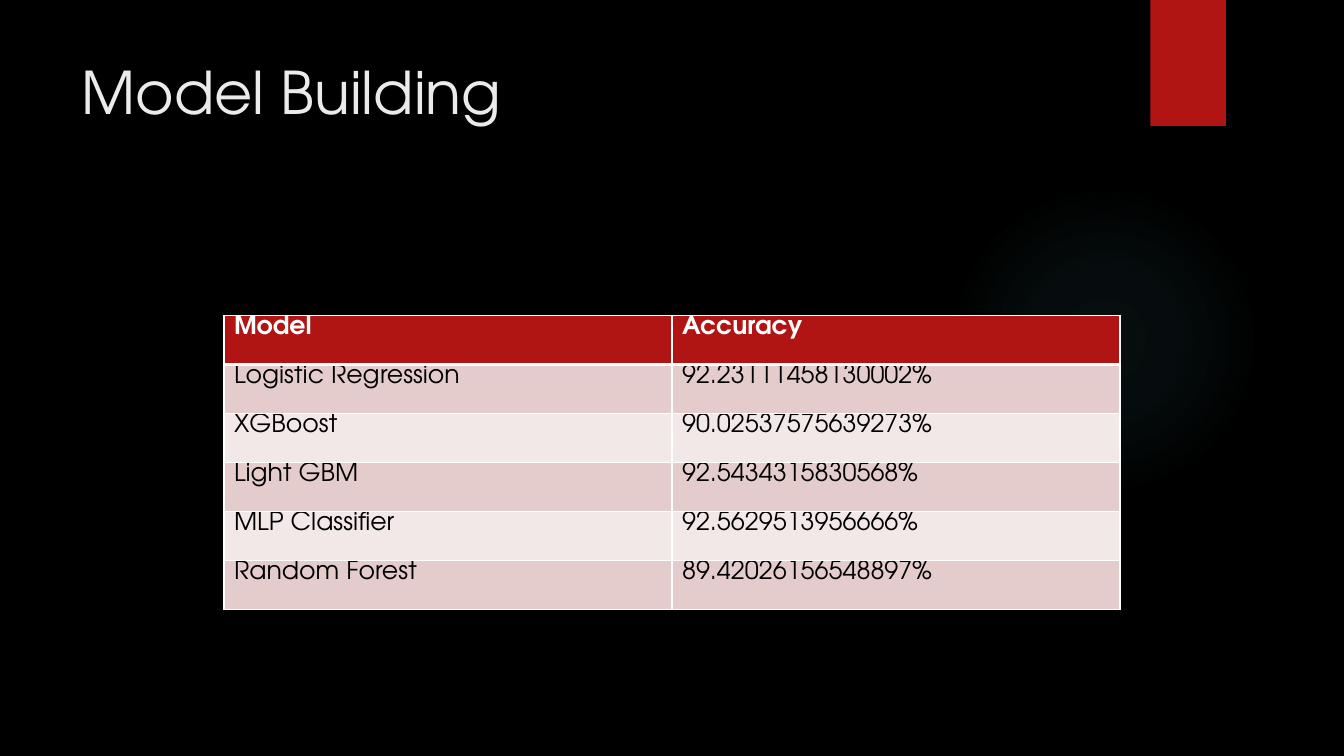
import pptx
import pptx.dml.color
import pptx.enum.shapes
import pptx.enum.text
import pptx.oxml
import pptx.oxml.ns
import pptx.util

W, H = 13.33, 7.5
FONT = "TeX Gyre Adventor"
COLORS = {
    "back": "000000", "red": "B01513", "glow": "50B9C1", "title": "EBEBEB",
    "white": "FFFFFF", "ink": "000000", "odd": "E4CCCC", "even": "F2E8E7",
}
ROWS = [
    ("Model", "Accuracy"),
    ("Logistic Regression", "92.23111458130002%"),
    ("XGBoost", "90.02537575639273%"),
    ("Light GBM", "92.5434315830568%"),
    ("MLP Classifier", "92.5629513956666%"),
    ("Random Forest", "89.42026156548897%"),
]


def rgb(name):
    """Return the named colour."""
    return pptx.dml.color.RGBColor.from_string(COLORS[name])


def inches(*values):
    """Convert lengths in inches."""
    return [pptx.util.Inches(v) for v in values]


def element(tag, body, attrs=""):
    """Parse one drawing element."""
    ns = pptx.oxml.ns.nsdecls("a")
    return pptx.oxml.parse_xml(f"<a:{tag} {ns} {attrs}>{body}</a:{tag}>")


def write(tf, text, size=18, color="ink", bold=False):
    """Put formatted text in a text frame."""
    r = tf.paragraphs[0].add_run()
    r.text = text
    r.font.name, r.font.size, r.font.bold = FONT, pptx.util.Pt(size), bold
    r.font.color.rgb = rgb(color)


def add_plain(s, kind, box, color):
    """Add a flat shape without outline."""
    sp = s.shapes.add_shape(kind, *inches(*box))
    sp.shadow.inherit = False
    sp.line.fill.background()
    sp.fill.solid()
    sp.fill.fore_color.rgb = rgb(color)
    return sp


def add_backdrop(s):
    """Draw the background, the soft glow and the red tab."""
    s.background.fill.solid()
    s.background.fill.fore_color.rgb = rgb("back")
    shapes = pptx.enum.shapes.MSO_SHAPE
    glow = add_plain(s, shapes.OVAL, (9.41, 1.83, 3.08, 3.08), "glow")
    stops = "".join(
        f'<a:gs pos="{pos * 1000}"><a:srgbClr val="{COLORS["glow"]}">'
        f'<a:alpha val="{alpha * 1000}"/></a:srgbClr></a:gs>'
        for pos, alpha in ((0, 7), (36, 6), (69, 0), (100, 0)))
    grad = element(
        "gradFill", f'<a:gsLst>{stops}</a:gsLst><a:path path="circle">'
        '<a:fillToRect l="50000" t="50000" r="50000" b="50000"/></a:path>')
    props = glow._element.spPr
    props.replace(props.find(pptx.oxml.ns.qn("a:solidFill")), grad)
    add_plain(s, shapes.RECTANGLE, (11.41, 0, 0.75, 1.25), "red")


def add_title(s, box, text):
    """Write the slide title at the top of its box."""
    tf = s.shapes.add_textbox(*inches(*box)).text_frame
    tf.word_wrap = True
    tf.vertical_anchor = pptx.enum.text.MSO_ANCHOR.TOP
    write(tf, text, size=42, color="title")


def set_borders(cell, **widths):
    """Draw white cell borders of the given point widths."""
    props = cell._tc.get_or_add_tcPr()
    for i, (side, width) in enumerate(widths.items()):
        fill = f'<a:solidFill><a:srgbClr val="{COLORS["white"]}"/></a:solidFill>'
        props.insert(i, element(f"ln{side}", fill, f'w="{width * 12700}"'))


def add_scores(s, box, rows):
    """Fill the box with the banded table of model scores."""
    x, y, w, h = inches(*box)
    table = s.shapes.add_table(len(rows), len(rows[0]), x, y, w, h).table
    for i, row in enumerate(rows):
        table.rows[i].height = h // len(rows)
        head = i == 0
        fill = "red" if head else "odd" if i % 2 else "even"
        for j, text in enumerate(row):
            cell = table.cell(i, j)
            cell.margin_top = cell.margin_bottom = 0
            cell.fill.solid()
            cell.fill.fore_color.rgb = rgb(fill)
            set_borders(cell, L=1, R=1, T=3 if i == 1 else 1, B=3 if head else 1)
            write(cell.text_frame, text, color="white" if head else "ink", bold=head)


def main():
    """Build and save the slide."""
    prs = pptx.Presentation()
    prs.slide_width, prs.slide_height = inches(W, H)
    s = prs.slides.add_slide(prs.slide_layouts[6])
    add_backdrop(s)
    add_title(s, (0.71, 0.5, 10.29, 1.53), "Model Building")
    add_scores(s, (W / 6, 3.13, W * 2 / 3, 2.92), ROWS)
    prs.save("out.pptx")


if __name__ == "__main__":
    main()
